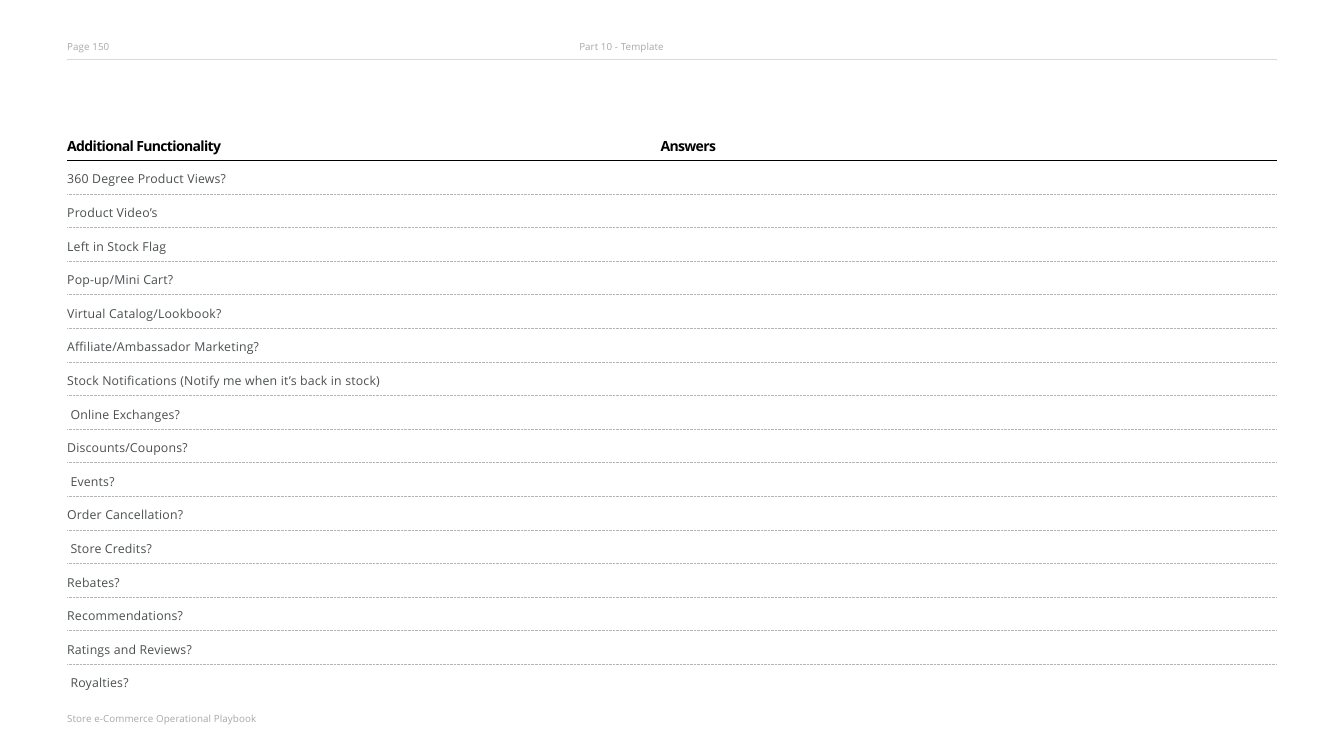
from pptx import Presentation
from pptx.dml.color import RGBColor as RGB
from pptx.enum.dml import MSO_LINE as Dash
from pptx.enum.shapes import MSO_CONNECTOR as Conn
from pptx.oxml.ns import qn
from pptx.util import Inches, Pt

THEME = {
    "font": "Open Sans",
    # size, colour, bold, letter spacing in 1/100 pt
    "note": (11.5, "A7A8AA", False, 10),
    "head": (16.5, "000000", True, -75),
    "item": (14.5, "4B4F51", False, 20),
    # width, colour, dash
    "hair": (0.25, "D8DAD9", None),
    "bar": (0.82, "000101", None),
    "dots": (0.82, "B4B5B7", Dash.ROUND_DOT),
}

# Grid: 100 columns by 22.5 rows
W, H = Inches(21.99), Inches(12.37)
COL, ROW = W / 100, H / 22.5
LEFT, RIGHT = 5, 95
TOP = 4.77  # row of the bar under the headings

deck = Presentation()
deck.slide_width, deck.slide_height = W, H
page = deck.slides.add_slide(deck.slide_layouts[6])


def write(x, y, wide, tall, lines, style):
    """Add a text box; each line is (text, indent in columns)."""
    size, color, bold, gap = THEME[style]
    box = page.shapes.add_textbox(*map(round, (x * COL, y * ROW, wide * COL, tall * ROW)))
    frame = box.text_frame
    frame.word_wrap = True
    frame.margin_left = frame.margin_right = frame.margin_bottom = 0
    frame.margin_top = Inches(0.01)
    for i, (text, indent) in enumerate(lines):
        para = frame.add_paragraph() if i else frame.paragraphs[0]
        props = para._p.get_or_add_pPr()
        props.set("marL", str(round(indent * COL)))
        props.set("indent", "0")
        if i:
            para.line_spacing = Pt(ROW / Pt(1))
        run = para.add_run()
        run.text = text
        font = run.font
        font.name, font.size, font.bold = THEME["font"], Pt(size), bold
        font.color.rgb = RGB.from_string(color)
        run._r.get_or_add_rPr().set("spc", str(gap))


def rule(y, style):
    """Draw a line across the page at row y."""
    width, color, dash = THEME[style]
    line = page.shapes.add_connector(
        Conn.STRAIGHT, *map(round, (LEFT * COL, y * ROW, RIGHT * COL, y * ROW)))
    line.line.width = Pt(width)
    line.line.color.rgb = RGB.from_string(color)
    if dash:
        line.line.dash_style = dash
    props = line._element.spPr
    props.append(props.makeelement(qn("a:effectLst"), {}))


# Page header and footer
rule(1.75, "hair")
write(LEFT, 1.18, 6, 0.4, [("Page 150", 0)], "note")
write(43.1, 1.18, 10, 0.4, [("Part 10 - Template", 0)], "note")
write(LEFT, 21.2, 20, 0.4, [("Store e-Commerce Operational Playbook", 0)], "note")

# Column headings
write(LEFT, 4.06, 16, 0.55, [("Additional Functionality", 0)], "head")
write(49.15, 4.06, 8, 0.55, [("Answers", 0)], "head")
rule(TOP, "bar")

# Questions, some set in by a quarter column
items = [
    ("360 Degree Product Views?", 0),
    ("Product Video’s", 0),
    ("Left in Stock Flag", 0),
    ("Pop-up/Mini Cart?", 0),
    ("Virtual Catalog/Lookbook?", 0),
    ("Affiliate/Ambassador Marketing?", 0),
    ("Stock Notifications (Notify me when it’s back in stock)", 0),
    ("Online Exchanges?", 0.25),
    ("Discounts/Coupons?", 0),
    ("Events?", 0.25),
    ("Order Cancellation?", 0),
    ("Store Credits?", 0.25),
    ("Rebates?", 0),
    ("Recommendations?", 0),
    ("Ratings and Reviews?", 0),
    ("Royalties?", 0.25),
]
write(LEFT, 5.09, 30, len(items) - 0.5, items, "item")

# Dotted rules between the questions
for n in range(1, len(items)):
    rule(TOP + n, "dots")

deck.save("out.pptx")
